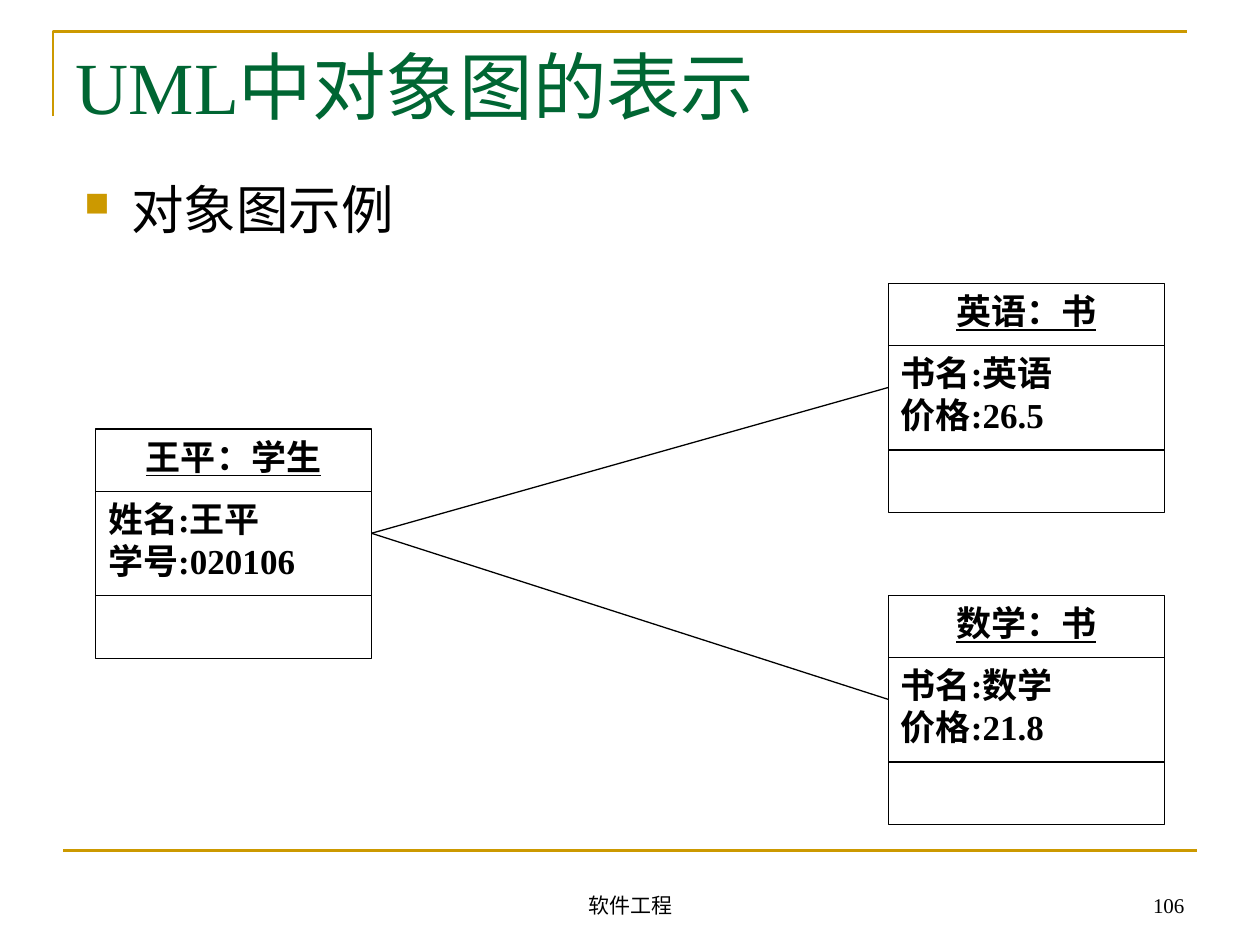
from lxml import etree
from pptx import Presentation
from pptx import util as u
from pptx.dml.color import RGBColor
from pptx.enum import shapes, text
from pptx.oxml.ns import qn

TITLE = "UML中对象图的表示"
BULLET_RUNS = [("对象图", "Arial"), ("示例", "Calibri")]
STUDENT = (1.93, 8.65, "王平：学生", ["姓名:王平", "学号:020106"])
BOOKS = [
    (17.91, 5.71, "英语：书", ["书名:英语", "价格:26.5"]),
    (17.91, 12.0, "数学：书", ["书名:数学", "价格:21.8"]),
]
FOOTERS = [
    (8.69, 8.05, "软件工程", text.PP_ALIGN.CENTER),
    (18.21, 5.92, "106", text.PP_ALIGN.RIGHT),
]

SERIF = "Times New Roman"
BLACK, WHITE, GOLD, GREEN = "000000", "FFFFFF", "CC9900", "006633"
CARD_WIDTH, NAME_HEIGHT, BODY_HEIGHT = 5.56, 1.26, 2.1
LINK_OFFSET = NAME_HEIGHT + 0.4 * BODY_HEIGHT


def color(value):
    return RGBColor.from_string(value)


def style_line(line, value, width):
    line.color.rgb = color(value)
    line.width = u.Pt(width)


def write(shape, paragraphs, size, value=BLACK, bold=False, underline=False,
          align=text.PP_ALIGN.LEFT, anchor=text.MSO_ANCHOR.TOP):
    frame = shape.text_frame
    frame.word_wrap = True
    frame.auto_size = text.MSO_AUTO_SIZE.NONE
    frame.vertical_anchor = anchor
    for index, runs in enumerate(paragraphs):
        paragraph = frame.add_paragraph() if index else frame.paragraphs[0]
        paragraph.alignment = align
        for content, font_name in runs:
            run = paragraph.add_run()
            run.text = content
            font = run.font
            font.name, font.size = font_name, u.Pt(size)
            font.bold, font.underline = bold, underline
            font.color.rgb = color(value)


def add_text_box(slide, left, top, width, height):
    return slide.shapes.add_textbox(u.Cm(left), u.Cm(top), u.Cm(width), u.Cm(height))


def add_line(slide, x1, y1, x2, y2, value, width):
    connector = slide.shapes.add_connector(
        shapes.MSO_CONNECTOR.STRAIGHT, u.Cm(x1), u.Cm(y1), u.Cm(x2), u.Cm(y2))
    style_line(connector.line, value, width)
    etree.SubElement(connector._element.spPr, qn("a:effectLst"))


def add_corner(slide):
    builder = slide.shapes.build_freeform(u.Cm(1.07), u.Cm(2.34))
    builder.add_line_segments(
        [(u.Cm(1.07), u.Cm(0.64)), (u.Cm(23.93), u.Cm(0.64))], close=False)
    corner = builder.convert_to_shape()
    corner.shadow.inherit = False
    corner.fill.background()
    style_line(corner.line, GOLD, 1.5)


def add_bullet(shape):
    paragraph = shape.text_frame.paragraphs[0]
    paragraph.space_before = u.Pt(0)
    properties = paragraph._p.get_or_add_pPr()
    properties.set("marL", str(u.Cm(0.95)))
    properties.set("indent", str(-u.Cm(0.95)))
    bullet_color = etree.SubElement(properties, qn("a:buClr"))
    etree.SubElement(bullet_color, qn("a:srgbClr"), val=GOLD)
    etree.SubElement(properties, qn("a:buSzPct"), val="65000")
    etree.SubElement(properties, qn("a:buChar"), char="■")


def add_card(slide, left, top, name, attributes):
    sections = [
        (NAME_HEIGHT, [name], True, text.PP_ALIGN.CENTER),
        (BODY_HEIGHT, attributes, False, text.PP_ALIGN.JUSTIFY),
        (NAME_HEIGHT, [], False, text.PP_ALIGN.LEFT),
    ]
    for height, lines, underline, align in sections:
        section = slide.shapes.add_shape(
            shapes.MSO_SHAPE.RECTANGLE,
            u.Cm(left), u.Cm(top), u.Cm(CARD_WIDTH), u.Cm(height))
        section.shadow.inherit = False
        section.fill.solid()
        section.fill.fore_color.rgb = color(WHITE)
        style_line(section.line, BLACK, 0.75)
        write(section, [[(line, SERIF)] for line in lines], 20,
              bold=True, underline=underline, align=align)
        top += height


def main():
    presentation = Presentation()
    presentation.slide_width, presentation.slide_height = u.Cm(25.4), u.Cm(19.05)
    slide = presentation.slides.add_slide(presentation.slide_layouts[5])

    add_corner(slide)
    add_line(slide, 1.27, 17.15, 24.13, 17.15, GOLD, 1.5)

    title = slide.shapes.title
    title.left, title.top = u.Cm(1.27), u.Cm(0.69)
    title.width, title.height = u.Cm(22.86), u.Cm(2.46)
    write(title, [[(TITLE, SERIF)]], 42, value=GREEN)

    body = add_text_box(slide, 1.45, 3.45, 22.86, 2.41)
    add_bullet(body)
    write(body, [BULLET_RUNS], 30)

    add_card(slide, *STUDENT)
    student_left, student_top = STUDENT[:2]
    for book in BOOKS:
        add_card(slide, *book)
        left, top = book[:2]
        add_line(slide, student_left + CARD_WIDTH, student_top + LINK_OFFSET,
                 left, top + LINK_OFFSET, BLACK, 0.75)

    for left, width, content, align in FOOTERS:
        footer = add_text_box(slide, left, 17.35, width, 1.27)
        write(footer, [[(content, SERIF)]], 12, align=align,
              anchor=text.MSO_ANCHOR.BOTTOM)

    presentation.save("out.pptx")


if __name__ == "__main__":
    main()
